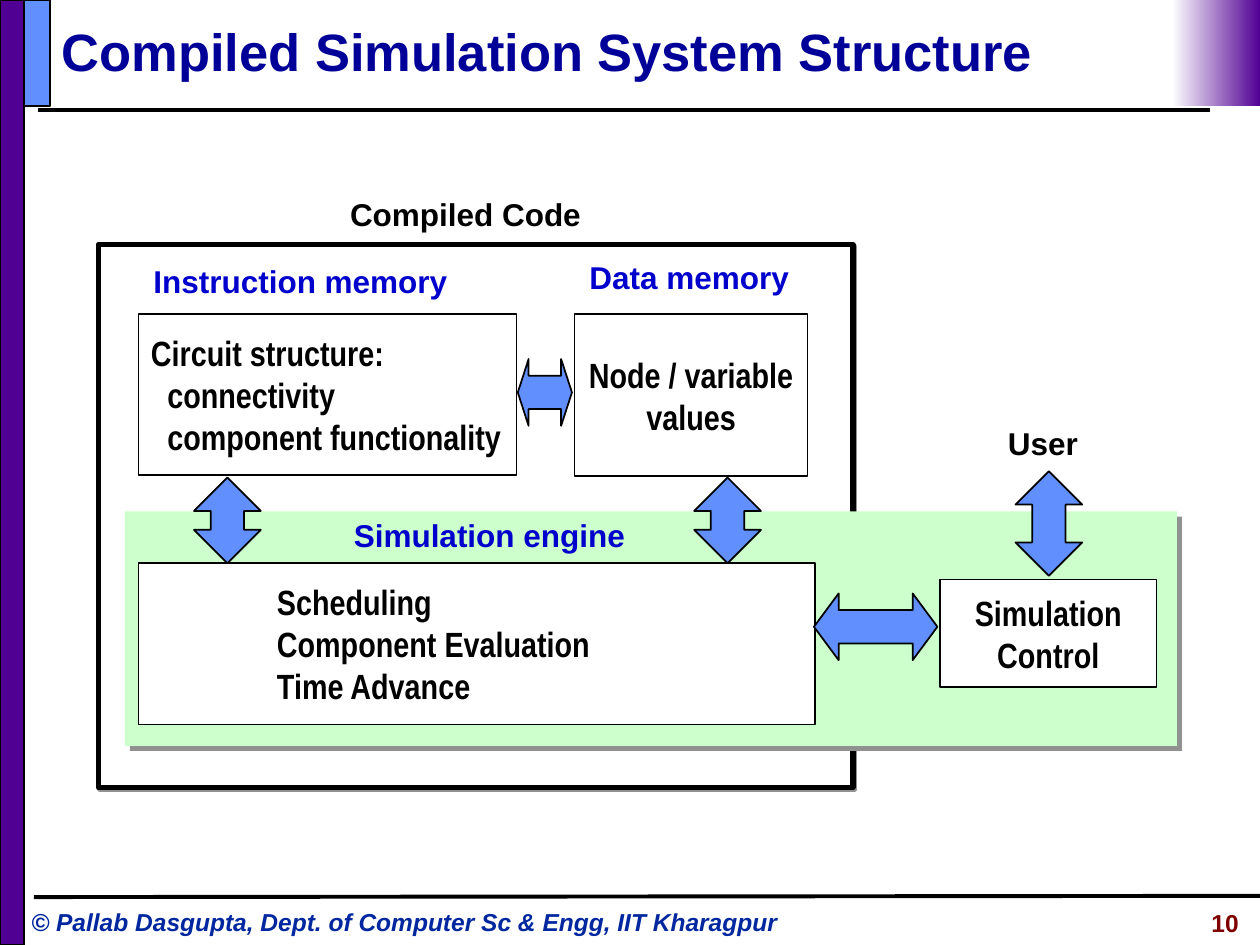
from dataclasses import dataclass

from lxml.etree import SubElement
from pptx import Presentation
from pptx.dml.color import RGBColor
from pptx.enum.shapes import MSO_CONNECTOR, MSO_SHAPE
from pptx.enum.text import MSO_ANCHOR, PP_ALIGN
from pptx.oxml.ns import qn
from pptx.util import Inches, Pt


@dataclass(frozen=True)
class Theme:
    black: str = "000000"
    white: str = "FFFFFF"
    purple: str = "500093"
    blue: str = "618FFD"
    green: str = "CCFFCC"
    shadow: str = "919191"
    title: str = "000099"
    label: str = "0000CC"
    footer: str = "00279F"
    number: str = "800000"
    font: str = "Arial"
    narrow: str = "Arial Narrow"
    title_size: int = 30
    box_size: int = 20
    label_size: int = 18
    footer_size: int = 14


T = Theme()


def write(s, *lines, size=T.label_size, color=T.black, font=T.font, italic=False,
          align=PP_ALIGN.LEFT, anchor=MSO_ANCHOR.TOP, indents=(), right=0):
    """Fill a shape with bold paragraphs; indents are left margins in inches, one per line."""
    tf = s.text_frame
    tf.word_wrap, tf.vertical_anchor = True, anchor
    tf.margin_left, tf.margin_right = Inches(0.1), Inches(right)
    tf.margin_top = tf.margin_bottom = Inches(0.05)
    for i, line in enumerate(lines):
        p = tf.paragraphs[0] if i == 0 else tf.add_paragraph()
        p.alignment = align
        if indents:
            p._p.get_or_add_pPr().set("marL", str(Inches(indents[i])))
        r = p.add_run()
        r.text = line
        r.font.name, r.font.size = font, Pt(size)
        r.font.bold, r.font.italic = True, italic
        r.font.color.rgb = RGBColor.from_string(color)


def add_block(kind, box, fill, line_width=1, shadow=0):
    """Add a filled shape; a zero line width means no outline, shadow is its distance in points."""
    s = shapes.add_shape(kind, *map(Inches, box))
    s.shadow.inherit = False
    s.fill.solid()
    s.fill.fore_color.rgb = RGBColor.from_string(fill)
    if line_width:
        s.line.color.rgb = RGBColor.from_string(T.black)
        s.line.width = Pt(line_width)
    else:
        s.line.fill.background()
    if shadow:
        effects = s._element.spPr.find(qn("a:effectLst"))
        outer = SubElement(effects, qn("a:outerShdw"), blurRad="0", dist=str(Pt(shadow)),
                           dir="2700000", algn="tl", rotWithShape="0")
        SubElement(outer, qn("a:srgbClr"), val=T.shadow)
    return s


prs = Presentation()
prs.slide_width, prs.slide_height = Inches(10), Inches(7.5)
slide = prs.slides.add_slide(prs.slide_layouts[5])
shapes = slide.shapes

# Frame: rules, side bar, corner and fading corner
for x1, y1, x2, y2 in [(0.3, 0.87, 9.6, 0.87), (0.27, 7.12, 10, 7.11)]:
    rule = shapes.add_connector(MSO_CONNECTOR.STRAIGHT, *map(Inches, (x1, y1, x2, y2)))
    rule.line.color.rgb = RGBColor.from_string(T.black)
    rule.line.width = Pt(2.25)
    SubElement(rule._element.spPr, qn("a:effectLst"))
add_block(MSO_SHAPE.RECTANGLE, (0, 0, 0.19, 7.5), T.purple)
add_block(MSO_SHAPE.RECTANGLE, (0.19, 0, 0.21, 0.84), T.blue)
fade = add_block(MSO_SHAPE.RECTANGLE, (9.3, 0, 0.7, 0.84), T.purple, line_width=0)
fade.fill.gradient()
fade.fill.gradient_angle = 180
for stop, color, position in zip(fade.fill.gradient_stops, (T.purple, T.white), (0, 1)):
    stop.color.rgb = RGBColor.from_string(color)
    stop.position = position

title = shapes.title
title.left, title.top, title.width, title.height = map(Inches, (0.39, 0.1, 9.1, 0.61))
write(title, "Compiled Simulation System Structure", size=T.title_size, color=T.title,
      anchor=MSO_ANCHOR.MIDDLE)

# Compiled code frame and simulation engine panel
add_block(MSO_SHAPE.RECTANGLE, (0.78, 1.94, 5.99, 4.31), T.white, line_width=3, shadow=1.4)
add_block(MSO_SHAPE.RECTANGLE, (0.99, 4.06, 8.35, 1.86), T.green, line_width=0, shadow=4.2)

# Component boxes
left, center = PP_ALIGN.LEFT, PP_ALIGN.CENTER
boxes = [
    ((1.1, 2.49, 3, 1.28), left, (0, 0.13, 0.13),
     ("Circuit structure:", "connectivity", "component functionality")),
    ((4.56, 2.49, 1.85, 1.29), center, (), ("Node / variable", "values")),
    ((1.1, 4.47, 5.37, 1.28), left, (1, 1, 1),
     ("Scheduling", "Component Evaluation", "Time Advance")),
    ((7.46, 4.6, 1.72, 0.85), center, (), ("Simulation", "Control")),
]
for box, align, indents, lines in boxes:
    s = add_block(MSO_SHAPE.RECTANGLE, box, T.white)
    write(s, *lines, size=T.box_size, font=T.narrow, align=align, anchor=MSO_ANCHOR.MIDDLE,
          indents=indents, right=0.1 if align == center else 0)

# Double-headed block arrows; the upright kind lists its head before its shaft
across, upright = MSO_SHAPE.LEFT_RIGHT_ARROW, MSO_SHAPE.UP_DOWN_ARROW
shaft = 0.5
arrows = [
    (across, (4.11, 2.85, 0.43, 0.53), (shaft, 0.2)),
    (upright, (1.54, 3.79, 0.53, 0.68), (0.25, shaft)),
    (upright, (5.51, 3.79, 0.53, 0.68), (0.25, shaft)),
    (across, (6.46, 4.71, 0.98, 0.53), (shaft, 0.37)),
    (upright, (8.06, 3.74, 0.53, 0.83), (0.31, shaft)),
]
for kind, box, proportions in arrows:
    s = add_block(kind, box, T.blue)
    s.adjustments[0], s.adjustments[1] = proportions

# Labels, footer and slide number
labels = [
    ("Compiled Code", (2.68, 1.5, 2.03, 0.4), {}),
    ("Instruction memory", (1.12, 2.03, 2.53, 0.4), dict(color=T.label)),
    ("Data memory", (4.58, 2, 1.78, 0.4), dict(color=T.label)),
    ("Simulation engine", (2.71, 4.05, 2.35, 0.4), dict(color=T.label)),
    ("User", (7.9, 3.32, 0.75, 0.4), {}),
    ("© Pallab Dasgupta, Dept. of Computer Sc & Engg, IIT Kharagpur",
     (0.15, 7.15, 6.37, 0.34), dict(size=T.footer_size, color=T.footer, italic=True)),
    ("10", (8.18, 7.16, 1.75, 0.35),
     dict(size=T.footer_size, color=T.number, align=PP_ALIGN.RIGHT, right=0.1)),
]
for text, box, style in labels:
    write(shapes.add_textbox(*map(Inches, box)), text, **style)

prs.save("out.pptx")
